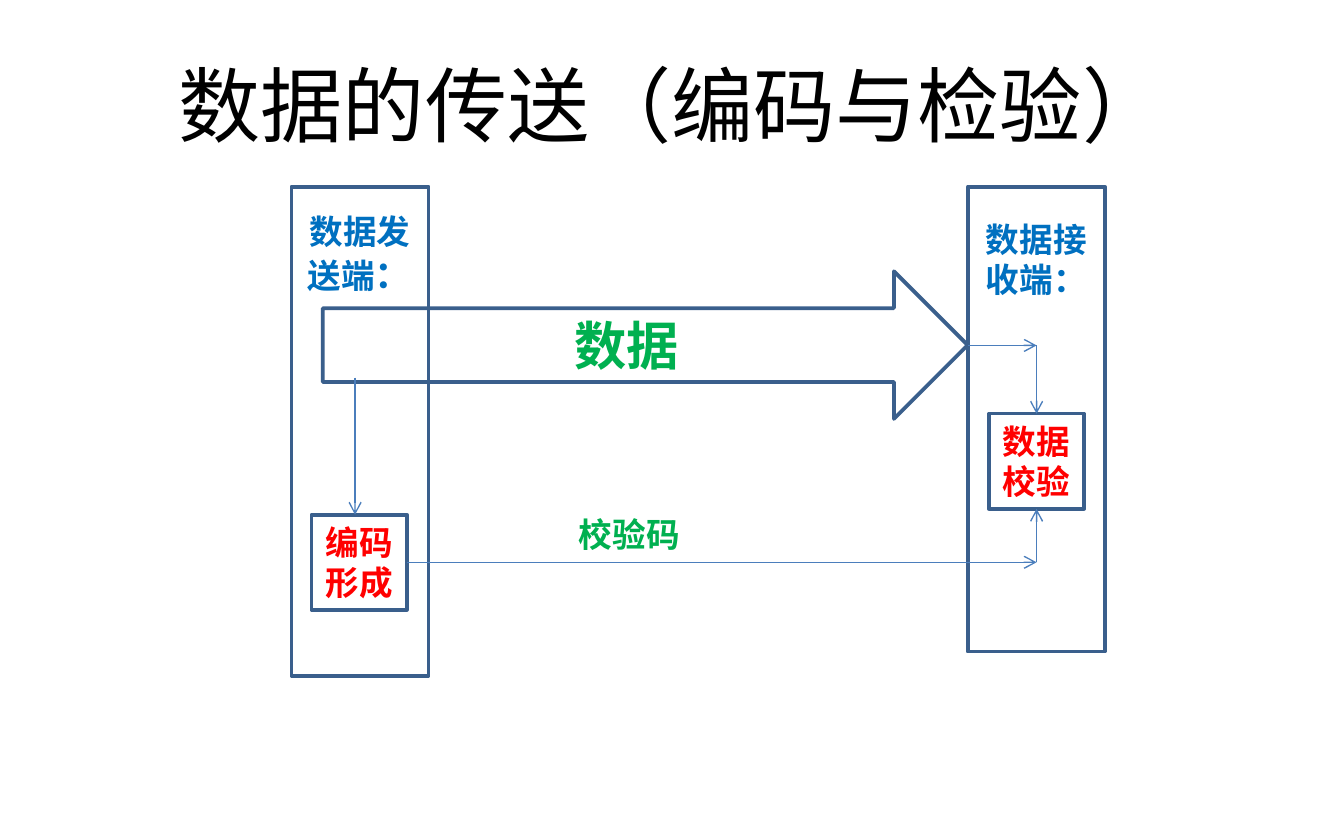
from typing import NamedTuple, Optional

import pptx
import pptx.dml.color
import pptx.enum.shapes
import pptx.enum.text
import pptx.oxml
import pptx.oxml.ns
import pptx.util
from pptx.util import Cm

SHAPES = pptx.enum.shapes.MSO_SHAPE
ANCHOR = pptx.enum.text.MSO_ANCHOR
ALIGN = pptx.enum.text.PP_ALIGN
FIT = pptx.enum.text.MSO_AUTO_SIZE

BLACK, BLUE, GREEN, RED = "000000", "0070C0", "00B050", "FF0000"
OUTLINE, WIRE = "3A5F8C", "4B7EBC"


class Span(NamedTuple):
    text: str
    size: float = 18


class Block(NamedTuple):
    """A box in centimetres; without a preset shape it is a text box."""
    left: float
    top: float
    width: float
    height: float
    lines: list[list[Span]]
    color: str
    shape: Optional[int] = None
    bold: bool = True
    align: int = ALIGN.CENTER
    frame: dict = {}


class Arrow(NamedTuple):
    start: tuple[float, float]
    end: tuple[float, float]
    start_joint: Optional[tuple[str, int]] = None
    end_joint: Optional[tuple[str, int]] = None


SIDE = 1.8
ENCODER_LEFT, ENCODER_TOP = 5.89, 9.73
CHECKER_LEFT, CHECKER_TOP = 18.69, 7.82
RECEIVER_LEFT = 18.29
DATA_Y = 6.53
CODE_Y = ENCODER_TOP + SIDE / 2
CHECKER_X = CHECKER_LEFT + SIDE / 2
TAP_X = 6.71

BLOCKS = {
    "sender": Block(5.51, 3.53, 2.59, 9.25, [[Span("数据发送端"), Span("：", 20)]],
                    BLUE, SHAPES.RECTANGLE,
                    frame={"vertical_anchor": ANCHOR.TOP, "margin_top": Cm(0.46)}),
    "title": Block(1.27, 0.64, 22.86, 2.64, [[Span("数据的传送（编码与检验）", 44)]],
                   BLACK, bold=False),
    "data": Block(6.1, 5.13, 12.19, 2.79, [[Span("数据", 28)]],
                  GREEN, SHAPES.RIGHT_ARROW),
    "encoder": Block(ENCODER_LEFT, ENCODER_TOP, SIDE, SIDE,
                     [[Span("编码")], [Span("形成")]], RED, SHAPES.RECTANGLE),
    "code": Block(10.69, 9.6, 3, 1.02, [[Span("校验码")]], GREEN, align=ALIGN.LEFT,
                  frame={"vertical_anchor": ANCHOR.TOP,
                         "auto_size": FIT.SHAPE_TO_FIT_TEXT}),
    "receiver": Block(RECEIVER_LEFT, 3.53, 2.59, 8.79, [[Span("数据接收端：")]],
                      BLUE, SHAPES.RECTANGLE,
                      frame={"vertical_anchor": ANCHOR.TOP, "margin_top": Cm(0.61)}),
    "checker": Block(CHECKER_LEFT, CHECKER_TOP, SIDE, SIDE,
                     [[Span("数据")], [Span("校验")]], RED, SHAPES.RECTANGLE),
}

ARROWS = [
    Arrow((TAP_X, 7.14), (TAP_X, ENCODER_TOP)),
    Arrow((ENCODER_LEFT + SIDE, CODE_Y), (CHECKER_X, CODE_Y),
          start_joint=("encoder", 3)),
    Arrow((RECEIVER_LEFT, DATA_Y), (CHECKER_X, DATA_Y)),
    Arrow((CHECKER_X, DATA_Y), (CHECKER_X, CHECKER_TOP), end_joint=("checker", 0)),
    Arrow((CHECKER_X, CODE_Y), (CHECKER_X, CHECKER_TOP + SIDE),
          end_joint=("checker", 2)),
]


def rgb(value: str) -> pptx.dml.color.RGBColor:
    return pptx.dml.color.RGBColor.from_string(value)


def assign(target, values: dict) -> None:
    for name, value in values.items():
        setattr(target, name, value)


def draw_block(page, block: Block):
    place = [Cm(length) for length in block[:4]]
    if block.shape is None:
        box = page.shapes.add_textbox(*place)
    else:
        box = page.shapes.add_shape(block.shape, *place)
        box.shadow.inherit = False
        box.fill.background()
        box.line.color.rgb = rgb(OUTLINE)
        box.line.width = pptx.util.Pt(2)
    frame = box.text_frame
    assign(frame, {"word_wrap": True, "vertical_anchor": ANCHOR.MIDDLE} | block.frame)
    for index, line in enumerate(block.lines):
        para = frame.add_paragraph() if index else frame.paragraphs[0]
        para.alignment = block.align
        for span in line:
            run = para.add_run()
            run.text = span.text
            assign(run.font, {"name": "Calibri", "bold": block.bold,
                              "size": pptx.util.Pt(span.size)})
            run.font.color.rgb = rgb(block.color)
    return box


def draw_arrow(page, arrow: Arrow, boxes: dict) -> None:
    ends = [Cm(length) for length in (*arrow.start, *arrow.end)]
    wire = page.shapes.add_connector(pptx.enum.shapes.MSO_CONNECTOR.STRAIGHT, *ends)
    if arrow.start_joint:
        name, site = arrow.start_joint
        wire.begin_connect(boxes[name], site)
    if arrow.end_joint:
        name, site = arrow.end_joint
        wire.end_connect(boxes[name], site)
    wire.line.color.rgb = rgb(WIRE)
    wire.line.width = pptx.util.Pt(0.75)
    properties = wire.line._get_or_add_ln()
    namespace = pptx.oxml.ns.nsdecls("a")
    properties.append(pptx.oxml.parse_xml(f'<a:tailEnd {namespace} type="arrow"/>'))
    properties.addnext(pptx.oxml.parse_xml(f"<a:effectLst {namespace}/>"))


def main() -> None:
    deck = pptx.Presentation()
    assign(deck, {"slide_width": Cm(25.4), "slide_height": Cm(15.88)})
    page = deck.slides.add_slide(deck.slide_layouts[6])
    boxes = {name: draw_block(page, block) for name, block in BLOCKS.items()}
    for arrow in ARROWS:
        draw_arrow(page, arrow, boxes)
    deck.save("out.pptx")


if __name__ == "__main__":
    main()
